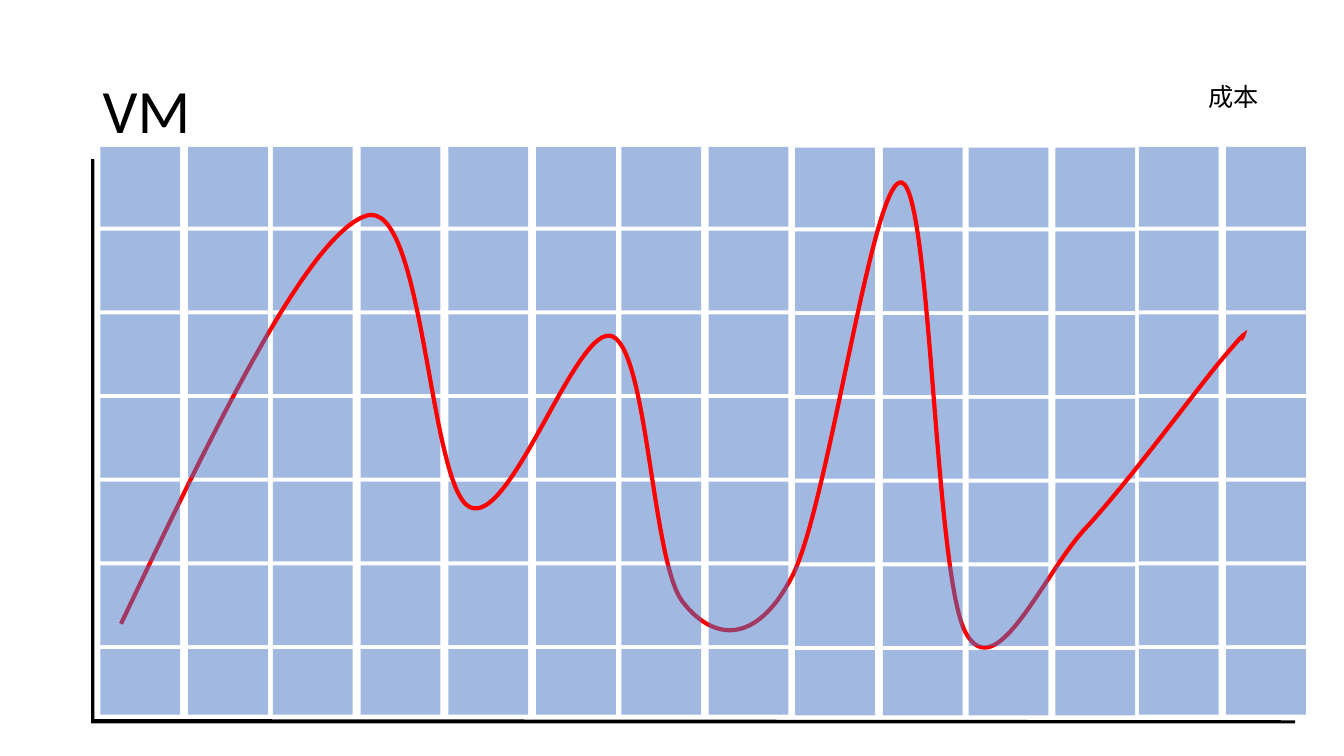
"""Build a slide with a grid of capacity blocks and a demand curve over time."""
from dataclasses import dataclass
from itertools import product

from lxml.etree import SubElement
from pptx import Presentation
from pptx.dml.color import RGBColor
from pptx.enum.shapes import MSO_SHAPE
from pptx.enum.text import MSO_ANCHOR, MSO_AUTO_SIZE
from pptx.oxml.ns import qn
from pptx.shapes.autoshape import Shape
from pptx.slide import Slide
from pptx.util import Cm, Pt

Point = tuple[float, float]
Segment = tuple[Point, Point, Point]

BLOCK_SIZE, LAST_ROW_HEIGHT = 2.01, 1.65
GRID_TOP, ROW_PITCH, ROW_COUNT = 3.7, 2.11, 7
COLUMN_LEFTS = (2.53, 4.74, 6.88, 9.09, 11.3, 13.51, 15.66,
                17.86, 20.04, 22.25, 24.41, 26.6, 28.7, 30.9)
LOWERED_COLUMNS, LOWERED_BY = range(8, 12), 0.02

AXES = [(2.34, 4.01), (2.34, 18.16), (32.64, 18.19), (2.34, 18.19)]
DEMAND_START = (3.05, 15.72)
DEMAND_WIDTH, DEMAND_HEIGHT = 28.3, 11.71
DEMAND_SEGMENTS = [
    ((5.38, 10.82), (7.75, 5.94), (9.22, 5.44)),
    ((10.69, 4.95), (10.8, 12.27), (11.84, 12.78)),
    ((12.88, 13.28), (14.55, 8.08), (15.44, 8.48)),
    ((16.33, 8.89), (16.43, 14.15), (17.2, 15.16)),
    ((17.96, 16.15), (19.05, 16.28), (19.96, 14.53)),
    ((20.88, 12.78), (22.0, 4.37), (22.73, 4.6)),
    ((23.47, 4.85), (23.55, 14.48), (24.33, 15.93)),
    ((25.1, 17.37), (26.29, 14.45), (27.36, 13.31)),
    ((28.42, 12.17), (30.12, 9.86), (30.78, 9.07)),
    ((31.45, 8.28), (31.37, 8.41), (31.27, 8.56)),
]


@dataclass(frozen=True)
class Block:
    """A capacity block at one column and row of the grid."""
    column: int
    row: int

    @property
    def behind_curve(self) -> bool:
        """Tell whether the curve is drawn over this block."""
        return self.column >= 2 and self.row < 5


@dataclass(frozen=True)
class Label:
    """A piece of text with its place in centimetres."""
    wording: str
    left: float
    top: float
    width: float
    height: float
    size: int
    is_title: bool = False


LABELS = [
    Label("VM", 2.34, 1.02, 29.21, 3.68, 44, True),
    Label("成本", 30.2, 1.93, 1.8, 1.02, 18),
]


def color(value: str) -> RGBColor:
    """Turn a hex string into a colour."""
    return RGBColor.from_string(value)


def draw_block(slide: Slide, block: Block) -> None:
    """Draw one half-transparent block."""
    top = GRID_TOP + block.row * ROW_PITCH
    if block.column in LOWERED_COLUMNS:
        top += LOWERED_BY
    height = LAST_ROW_HEIGHT if block.row == ROW_COUNT - 1 else BLOCK_SIZE
    square = slide.shapes.add_shape(
        MSO_SHAPE.RECTANGLE, Cm(COLUMN_LEFTS[block.column]), Cm(top),
        Cm(BLOCK_SIZE), Cm(height))
    square.shadow.inherit = False
    square.fill.solid()
    square.fill.fore_color.rgb = color("4472C4")
    tint = square.fill._xPr.find(".//" + qn("a:srgbClr"))
    SubElement(tint, qn("a:alpha"), val="50000")
    square.line.fill.background()


def draw_outline(slide: Slide, points: list[Point], line_color: str,
                 weight: float, closed: bool) -> Shape:
    """Draw a sharp-cornered line through the points."""
    start, *rest = [(Cm(x), Cm(y)) for x, y in points]
    builder = slide.shapes.build_freeform(*start)
    builder.add_line_segments(rest, close=closed)
    outline = builder.convert_to_shape()
    outline.shadow.inherit = False
    outline.line.color.rgb = color(line_color)
    outline.line.width = Pt(weight)
    SubElement(outline.line._get_or_add_ln(), qn("a:miter"), lim="800000")
    return outline


def draw_axes(slide: Slide) -> None:
    """Draw both axes as one white-filled outline."""
    axes = draw_outline(slide, AXES, "000000", 2.25, True)
    axes.fill.solid()
    axes.fill.fore_color.rgb = color("FFFFFF")


def draw_demand(slide: Slide, segments: list[Segment]) -> None:
    """Draw the demand curve by bending the lines between its knots."""
    knots = [DEMAND_START] + [segment[-1] for segment in segments]
    demand = draw_outline(slide, knots, "FF0000", 3, False)
    demand.fill.background()
    left, top = demand.left, demand.top
    outline = demand._element.find(".//" + qn("a:path"))
    for straight in outline.findall(qn("a:lnTo")):
        outline.remove(straight)
    for segment in segments:
        bend = SubElement(outline, qn("a:cubicBezTo"))
        for x, y in segment:
            SubElement(bend, qn("a:pt"), x=str(Cm(x) - left), y=str(Cm(y) - top))
    demand.width, demand.height = Cm(DEMAND_WIDTH), Cm(DEMAND_HEIGHT)
    outline.set("w", str(demand.width))
    outline.set("h", str(demand.height))


def draw_label(slide: Slide, label: Label) -> None:
    """Write a label, wrapped and centred vertically if it is the title."""
    frame = slide.shapes.add_textbox(
        Cm(label.left), Cm(label.top), Cm(label.width), Cm(label.height)).text_frame
    frame.text = label.wording
    frame.word_wrap = label.is_title
    paragraph = frame.paragraphs[0]
    if label.is_title:
        frame.vertical_anchor = MSO_ANCHOR.MIDDLE
        paragraph.line_spacing = 0.9
    else:
        frame.auto_size = MSO_AUTO_SIZE.SHAPE_TO_FIT_TEXT
    font = paragraph.runs[0].font
    font.name = "Calibri"
    font.size = Pt(label.size)
    font.color.rgb = color("000000")


def main() -> None:
    """Build and save the slide."""
    presentation = Presentation()
    presentation.slide_width, presentation.slide_height = Cm(33.87), Cm(19.05)
    slide = presentation.slides.add_slide(presentation.slide_layouts[6])
    title, cost = LABELS
    blocks = [Block(column, row)
              for column, row in product(range(len(COLUMN_LEFTS)), range(ROW_COUNT))]

    for block in blocks:
        if block.behind_curve:
            draw_block(slide, block)
    draw_label(slide, title)
    draw_axes(slide)
    draw_demand(slide, DEMAND_SEGMENTS)
    for block in blocks:
        if not block.behind_curve:
            draw_block(slide, block)
    draw_label(slide, cost)
    presentation.save("out.pptx")


if __name__ == "__main__":
    main()
